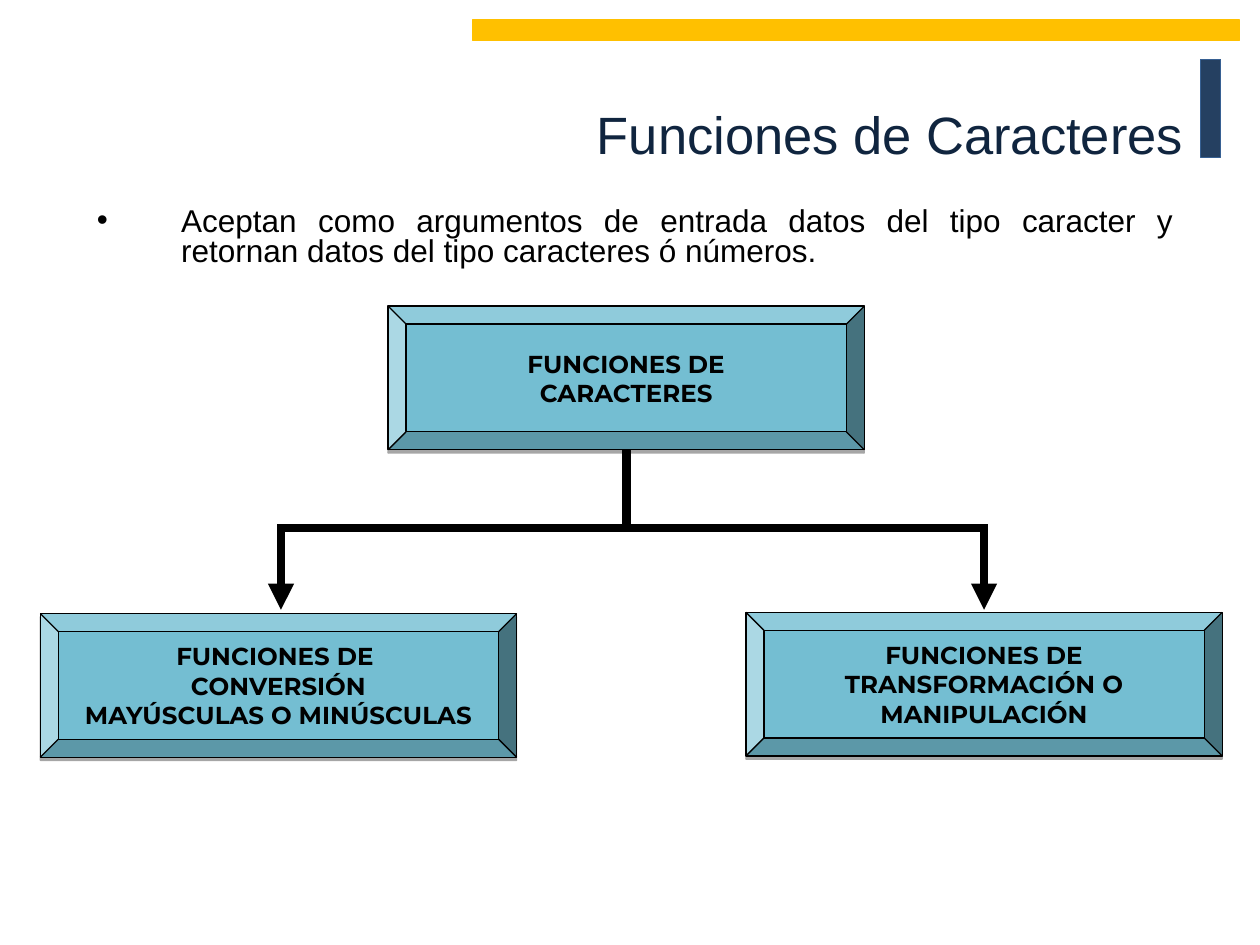
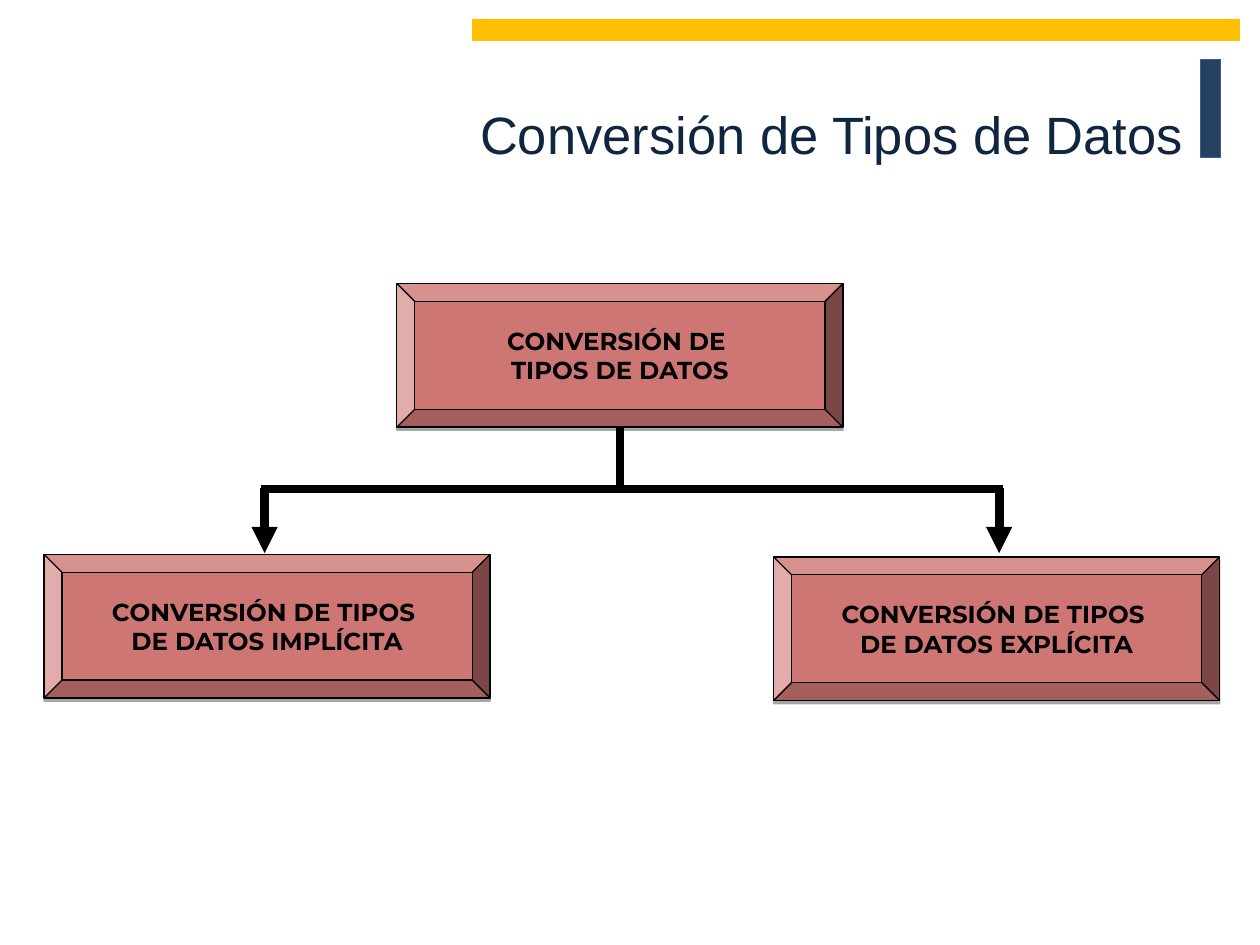
"""Builds two slides that classify character functions and type conversions."""
from lxml import etree
from pptx import Presentation
from pptx.dml.color import RGBColor
from pptx.enum.shapes import MSO_CONNECTOR, MSO_SHAPE
from pptx.enum.text import MSO_ANCHOR, PP_ALIGN
from pptx.oxml.ns import qn
from pptx.util import Inches, Pt

STRAIGHT = MSO_CONNECTOR.STRAIGHT
RECTANGLE, BEVEL = MSO_SHAPE.RECTANGLE, MSO_SHAPE.BEVEL
MIDDLE = MSO_ANCHOR.MIDDLE
CENTER, RIGHT, JUSTIFY = PP_ALIGN.CENTER, PP_ALIGN.RIGHT, PP_ALIGN.JUSTIFY

COLORS = {
    "band": "FFC000",
    "marker": "254061",
    "marker_edge": "376092",
    "title": "10253F",
    "ink": "000000",
    "characters": "74BED2",
    "conversion": "CE7674",
}
BODY_FONT, BOX_FONT = "Arial", "Montserrat"
BOX_HEIGHT = 1.14
RAIL_OVERHANG = 0.03


def rgb(name):
    """Return the named colour."""
    return RGBColor.from_string(COLORS[name])


def style_paragraph(paragraph, text, align, font, size, color, bold=False):
    """Write the text and set its alignment and font."""
    paragraph.text = text
    paragraph.alignment = align
    paragraph.font.name = font
    paragraph.font.size = Pt(size)
    paragraph.font.bold = bold
    paragraph.font.color.rgb = rgb(color)


def add_block(slide, kind, place, fill, edge):
    """Add a filled preset shape with a thin outline and no shadow."""
    block = slide.shapes.add_shape(kind, *map(Inches, place))
    block.shadow.inherit = False
    block.fill.solid()
    block.fill.fore_color.rgb = rgb(fill)
    block.line.color.rgb = rgb(edge)
    block.line.width = Pt(0.75)
    return block


def add_text_frame(slide, place):
    """Add a wrapping text box and return its frame."""
    frame = slide.shapes.add_textbox(*map(Inches, place)).text_frame
    frame.word_wrap = True
    return frame


def add_titled_slide(deck, title):
    """Add a blank slide with the shared marker, band and title."""
    slide = deck.slides.add_slide(deck.slide_layouts[6])
    add_block(slide, RECTANGLE, (9.53, 0.47, 0.16, 0.78), "marker", "marker_edge")
    add_block(slide, RECTANGLE, (3.75, 0.16, 6.09, 0.16), "band", "band")
    frame = add_text_frame(slide, (0.97, 0.26, 8.52, 1.6))
    frame.vertical_anchor = MIDDLE
    style_paragraph(frame.paragraphs[0], title, RIGHT, BODY_FONT, 30, "title")
    return slide


def add_bullet(slide, place, text):
    """Add a justified paragraph with a hanging bullet."""
    paragraph = add_text_frame(slide, place).paragraphs[0]
    style_paragraph(paragraph, text, JUSTIFY, BODY_FONT, 18, "ink")
    paragraph.line_spacing = 0.8
    paragraph.space_before = Pt(3.6)
    defaults = paragraph.font._element
    properties = defaults.getparent()
    properties.set("marL", str(Inches(0.67)))
    properties.set("indent", str(Inches(-0.67)))
    defaults.addprevious(etree.Element(qn("a:buFont"), typeface=BODY_FONT))
    defaults.addprevious(etree.Element(qn("a:buChar"), char="•"))


def add_box(slide, left, top, width, fill, lines):
    """Add a bevelled box with a drop shadow and centred lines."""
    box = add_block(slide, BEVEL, (left, top, width, BOX_HEIGHT), fill, "ink")
    effects = box._element.spPr.find(qn("a:effectLst"))
    shadow = etree.SubElement(effects, qn("a:outerShdw"), blurRad="0",
                              dist=str(Pt(1.8)), dir="5400000", rotWithShape="0")
    shade = etree.SubElement(shadow, qn("a:srgbClr"), val=COLORS["ink"])
    etree.SubElement(shade, qn("a:alpha"), val="35000")
    frame = box.text_frame
    frame.word_wrap = True
    frame.vertical_anchor = MIDDLE
    for index, line in enumerate(lines):
        paragraph = frame.add_paragraph() if index else frame.paragraphs[0]
        style_paragraph(paragraph, line, CENTER, BOX_FONT, 14, "ink", bold=True)


def add_line(slide, start, end, arrow=False):
    """Add a thick black line, with an arrowhead at its end if asked."""
    line = slide.shapes.add_connector(STRAIGHT, *map(Inches, (*start, *end)))
    line.line.color.rgb = rgb("ink")
    line.line.width = Pt(5)
    if arrow:
        etree.SubElement(line.line._ln, qn("a:tailEnd"), type="triangle")
    etree.SubElement(line._element.spPr, qn("a:effectLst"))


def add_tree(slide, fill, width, boxes, rail, drops, tip):
    """Add a root box that branches into two boxes by way of a rail."""
    root_left, root_top, _ = boxes[0]
    stem = root_left + width / 2
    add_line(slide, (drops[0] - RAIL_OVERHANG, rail), (drops[1] + RAIL_OVERHANG, rail))
    add_line(slide, (stem, root_top + BOX_HEIGHT), (stem, rail))
    for drop in drops:
        add_line(slide, (drop, rail - 0.01), (drop, tip), arrow=True)
    for left, top, lines in boxes:
        add_box(slide, left, top, width, fill, lines)


def main():
    """Build and save the deck."""
    deck = Presentation()
    deck.slide_width, deck.slide_height = Inches(10), Inches(7.5)

    characters = add_titled_slide(deck, "Funciones de Caracteres")
    add_bullet(characters, (0.67, 1.6, 8.74, 0.45),
               "Aceptan como argumentos de entrada datos del tipo caracter y "
               "retornan datos del tipo caracteres ó números.")
    add_tree(characters, "characters", 3.78, [
        (3.08, 2.43, ["FUNCIONES DE", "CARACTERES"]),
        (0.32, 4.87, ["FUNCIONES DE ", "CONVERSIÓN", "MAYÚSCULAS O MINÚSCULAS"]),
        (5.92, 4.86, ["FUNCIONES DE", "TRANSFORMACIÓN O", "MANIPULACIÓN"]),
    ], rail=4.19, drops=(2.23, 7.81), tip=4.84)

    conversion = add_titled_slide(deck, "Conversión de Tipos de Datos")
    add_tree(conversion, "conversion", 3.54, [
        (3.15, 2.25, ["CONVERSIÓN DE ", "TIPOS DE DATOS"]),
        (0.35, 4.4, ["CONVERSIÓN DE TIPOS ", "DE DATOS IMPLÍCITA"]),
        (6.14, 4.42, ["CONVERSIÓN DE TIPOS ", "DE DATOS EXPLÍCITA"]),
    ], rail=3.88, drops=(2.1, 7.93), tip=4.39)

    deck.save("out.pptx")


if __name__ == "__main__":
    main()
